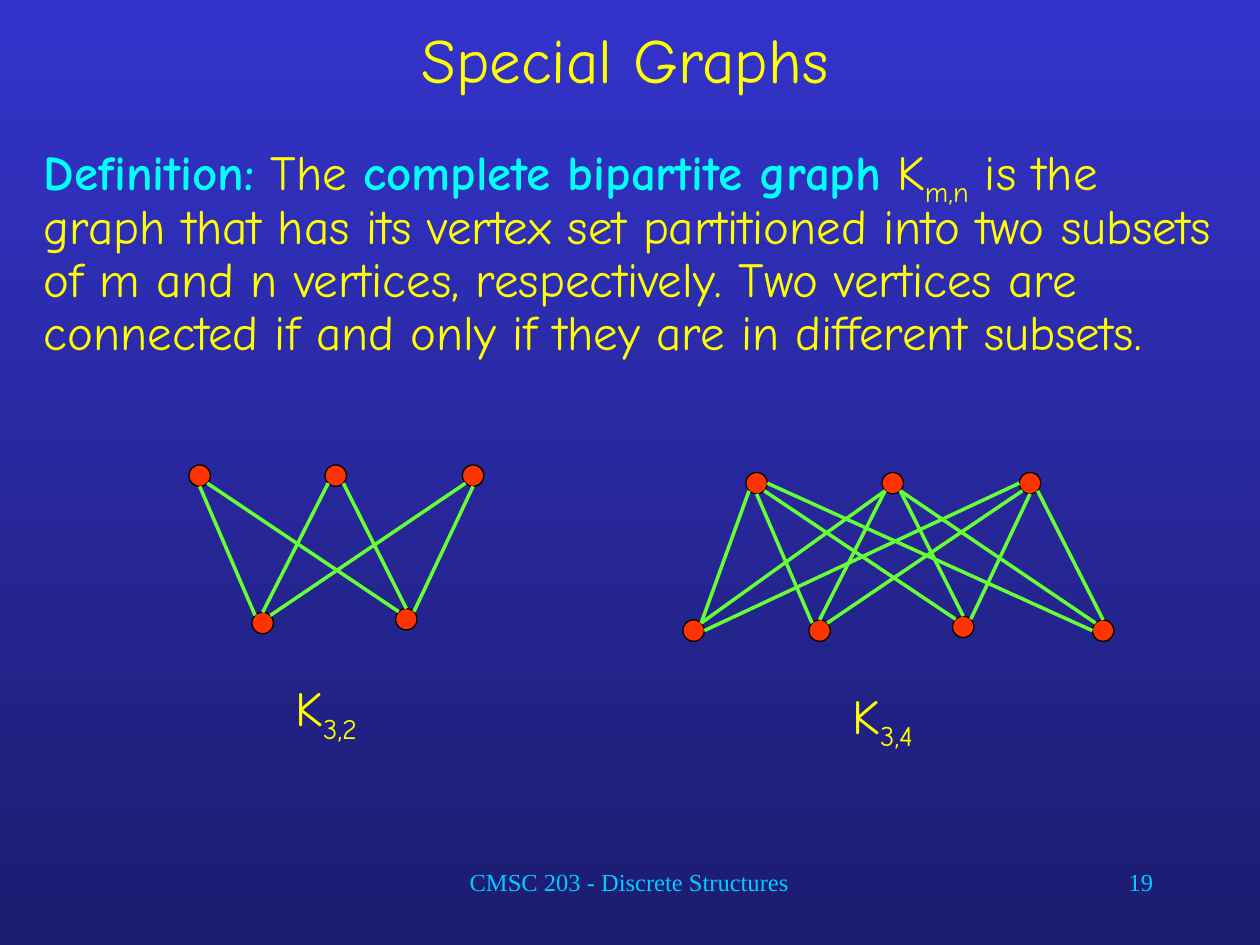
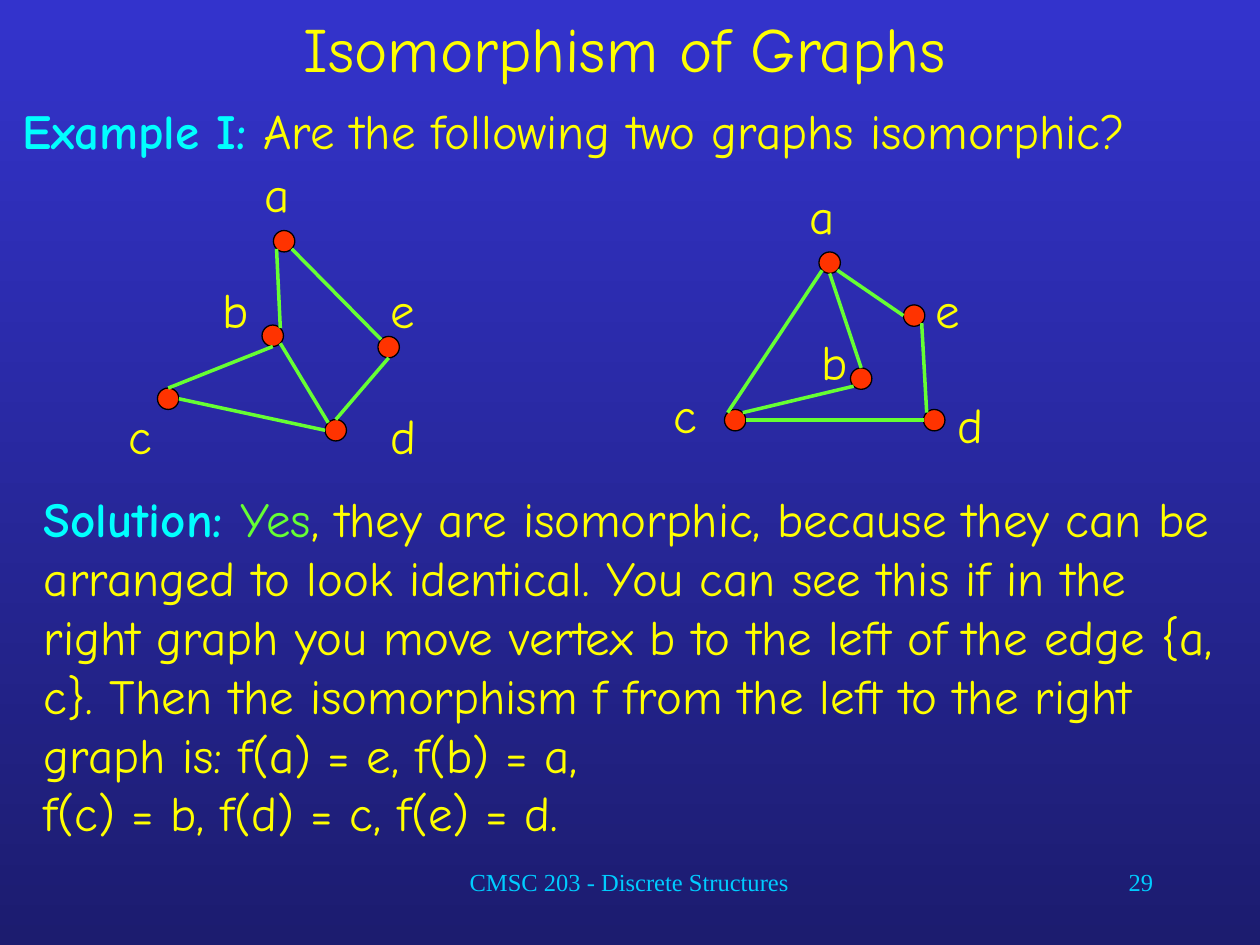
import math

import lxml.etree
import pptx
import pptx.dml.color
import pptx.enum.shapes
import pptx.enum.text
import pptx.oxml.ns
import pptx.util

Inches = pptx.util.Inches
Pt = pptx.util.Pt
Align = pptx.enum.text.PP_ALIGN
Anchor = pptx.enum.text.MSO_ANCHOR
AutoSize = pptx.enum.text.MSO_AUTO_SIZE

HEX = {
    "sky": "3333CC",
    "night": "1C1C6F",
    "text": "FFFF00",
    "term": "00FFFF",
    "footer": "00CCFF",
    "vertex": "FF3300",
    "outline": "000000",
    "edge": "66FF33",
}
COLORS = {part: pptx.dml.color.RGBColor.from_string(code) for part, code in HEX.items()}

BODY_FONT = {"name": "Comic Neue", "size": Pt(28), "bold": False}
RUN_STYLES = {
    "title": ({**BODY_FONT, "size": Pt(36)}, "text"),
    "plain": (BODY_FONT, "text"),
    "sub": (BODY_FONT, "text"),
    "term": ({**BODY_FONT, "bold": True}, "term"),
    "answer": (BODY_FONT, "edge"),
    "footer": ({"name": "Times New Roman", "size": Pt(14), "bold": False}, "footer"),
}
BODY = {"space_before": Pt(7), "space_after": Pt(7)}
LABEL = {"space_before": Pt(17.5)}

DOT = 0.17
COMPASS = ["E", "SE", "S", "SW", "W", "NW", "N", "NE"]


def write_text(box, at, runs, paragraph_format, anchor=Anchor.TOP, auto_size=AutoSize.NONE):
    for side, length in zip(("left", "top", "width", "height"), at):
        setattr(box, side, Inches(length))
    frame = box.text_frame
    frame_format = {"word_wrap": True, "auto_size": auto_size, "vertical_anchor": anchor}
    for key, value in frame_format.items():
        setattr(frame, key, value)
    paragraph = frame.paragraphs[0]
    for key, value in paragraph_format.items():
        setattr(paragraph, key, value)
    for text, style in runs:
        if text == "\n":
            paragraph.add_line_break()
            continue
        run = paragraph.add_run()
        run.text = text
        font_format, color = RUN_STYLES[style]
        for key, value in font_format.items():
            setattr(run.font, key, value)
        run.font.color.rgb = COLORS[color]
        if style == "sub":
            run._r.get_or_add_rPr().set("baseline", "-25000")


def draw_graph(slide, vertices, edges, labels):
    graph = slide.shapes.add_group_shape().shapes
    for x, y in vertices.values():
        vertex = graph.add_shape(
            pptx.enum.shapes.MSO_SHAPE.FLOWCHART_CONNECTOR,
            Inches(x), Inches(y), Inches(DOT), Inches(DOT),
        )
        vertex.shadow.inherit = False
        vertex.fill.solid()
        vertex.fill.fore_color.rgb = COLORS["vertex"]
        vertex.line.color.rgb = COLORS["outline"]
        vertex.line.width = Pt(0.75)
    for edge_ends in edges:
        points = []
        for end in edge_ends.split():
            name, side = end.split(".")
            angle = COMPASS.index(side) * math.pi / 4
            x, y = vertices[name]
            points.append(Inches(x + DOT / 2 * (1 + math.cos(angle))))
            points.append(Inches(y + DOT / 2 * (1 + math.sin(angle))))
        edge = graph.add_connector(pptx.enum.shapes.MSO_CONNECTOR.STRAIGHT, *points)
        edge.line.color.rgb = COLORS["edge"]
        edge.line.width = Pt(2)
        lxml.etree.SubElement(edge._element.spPr, pptx.oxml.ns.qn("a:effectLst"))
    for name, (x, y, width) in labels.items():
        write_text(graph.add_textbox(0, 0, 0, 0), (x, y, width, 0.57),
                   [(name, "plain")], LABEL, auto_size=AutoSize.SHAPE_TO_FIT_TEXT)


deck = pptx.Presentation()
deck.slide_width = Inches(10)
deck.slide_height = Inches(7.5)

backdrop = deck.slide_master.background.fill
backdrop.gradient()
backdrop.gradient_angle = 270
for stop, color, position in zip(backdrop.gradient_stops, ("sky", "night"), (0, 1)):
    stop.color.rgb = COLORS[color]
    stop.position = position

slides = []
for title, title_height, number in [
    ("Special Graphs", 0.92, "19"),
    ("Isomorphism of Graphs", 0.75, "29"),
]:
    slide = deck.slides.add_slide(deck.slide_layouts[5])
    write_text(slide.shapes.title, (0.25, 0, 9.42, title_height), [(title, "title")],
               {"alignment": Align.CENTER}, Anchor.MIDDLE)
    for text, left, width, alignment in [
        ("CMSC 203 - Discrete Structures", 2.83, 4.33, Align.CENTER),
        (number, 7.17, 2.08, Align.RIGHT),
    ]:
        write_text(slide.shapes.add_textbox(0, 0, 0, 0), (left, 6.83, width, 0.5),
                   [(text, "footer")], {"alignment": alignment})
    slides.append(slide)
special, isomorphism = slides

definition = [
    ("Definition:", "term"),
    (" The ", "plain"),
    ("complete bipartite graph", "term"),
    (" K", "plain"),
    ("m,n", "sub"),
    (" is the graph that has its vertex set partitioned into two subsets of m and n "
     "vertices, respectively. Two vertices are connected if and only if they are in "
     "different subsets.", "plain"),
]
write_text(special.shapes.add_textbox(0, 0, 0, 0), (0.25, 1.08, 9.58, 2.33),
           definition, {**BODY, "line_spacing": 0.9})

k32_vertices = {
    "t1": (1.5, 3.69), "t2": (2.58, 3.69), "t3": (3.67, 3.69),
    "b1": (2, 4.86), "b2": (3.14, 4.83),
}
k32_edges = [
    "t1.S b1.NW", "t2.SW b1.N", "t3.SW b1.NE",
    "t1.SE b2.NW", "t2.SE b2.N", "t3.S b2.NE",
]
k34_vertices = {name: (x + 4.42, y + 0.06) for name, (x, y) in k32_vertices.items()}
k34_vertices.update(b0=(5.42, 4.92), b3=(8.67, 4.92))
k34_edges = k32_edges + [
    "t1.SW b0.NE", "t2.SW b0.NE", "t3.W b0.E",
    "t1.E b3.W", "t2.SE b3.NW", "t3.SE b3.N",
]
for vertices, edges, subscript, left, top in [
    (k32_vertices, k32_edges, "3,2", 2.25, 5.33),
    (k34_vertices, k34_edges, "3,4", 6.67, 5.39),
]:
    draw_graph(special, vertices, edges, {})
    write_text(special.shapes.add_textbox(0, 0, 0, 0), (left, top, 0.94, 0.63),
               [("K", "plain"), (subscript, "sub")], LABEL,
               auto_size=AutoSize.SHAPE_TO_FIT_TEXT)

question = [
    ("Example I:", "term"),
    (" Are the following two graphs isomorphic?", "plain"),
]
write_text(isomorphism.shapes.add_textbox(0, 0, 0, 0), (0.08, 0.75, 9.92, 0.58),
           question, BODY)

draw_graph(
    isomorphism,
    {"a": (2.17, 1.83), "b": (2.08, 2.58), "c": (1.25, 3.08), "d": (2.58, 3.33), "e": (3, 2.67)},
    ["d.N e.S", "d.W c.E", "c.N b.S", "b.NE a.SW", "a.SE e.NW", "b.SE d.NW"],
    {"a": (2, 1.25, 0.67), "b": (1.67, 2.17, 0.33), "c": (0.92, 3.17, 0.42),
     "d": (3, 3.17, 0.67), "e": (3, 2.17, 0.67)},
)
draw_graph(
    isomorphism,
    {"a": (6.5, 2), "b": (6.75, 2.92), "c": (5.75, 3.25), "d": (7.33, 3.25), "e": (7.17, 2.42)},
    ["c.E d.W", "c.NE b.SW", "b.N a.S", "a.SE e.W", "e.SE d.NW", "a.SW c.NW"],
    {"a": (6.33, 1.42, 0.67), "b": (6.42, 2.58, 0.33), "c": (5.25, 3, 0.42),
     "d": (7.5, 3.08, 0.67), "e": (7.33, 2.17, 0.67)},
)

solution = [
    ("Solution: ", "term"),
    ("Yes", "answer"),
    (", they are isomorphic, because they can be arranged to look identical. You can see "
     "this if in the right graph you move vertex b to the left of the edge {a, c}. Then the "
     "isomorphism f from the left to the right graph is: f(a) = e, f(b) = a, ", "plain"),
    ("\n", "plain"),
    ("f(c) = b, f(d) = c, f(e) = d.", "plain"),
]
write_text(isomorphism.shapes.add_textbox(0, 0, 0, 0), (0.25, 3.83, 9.58, 2),
           solution, BODY)

deck.save("out.pptx")
